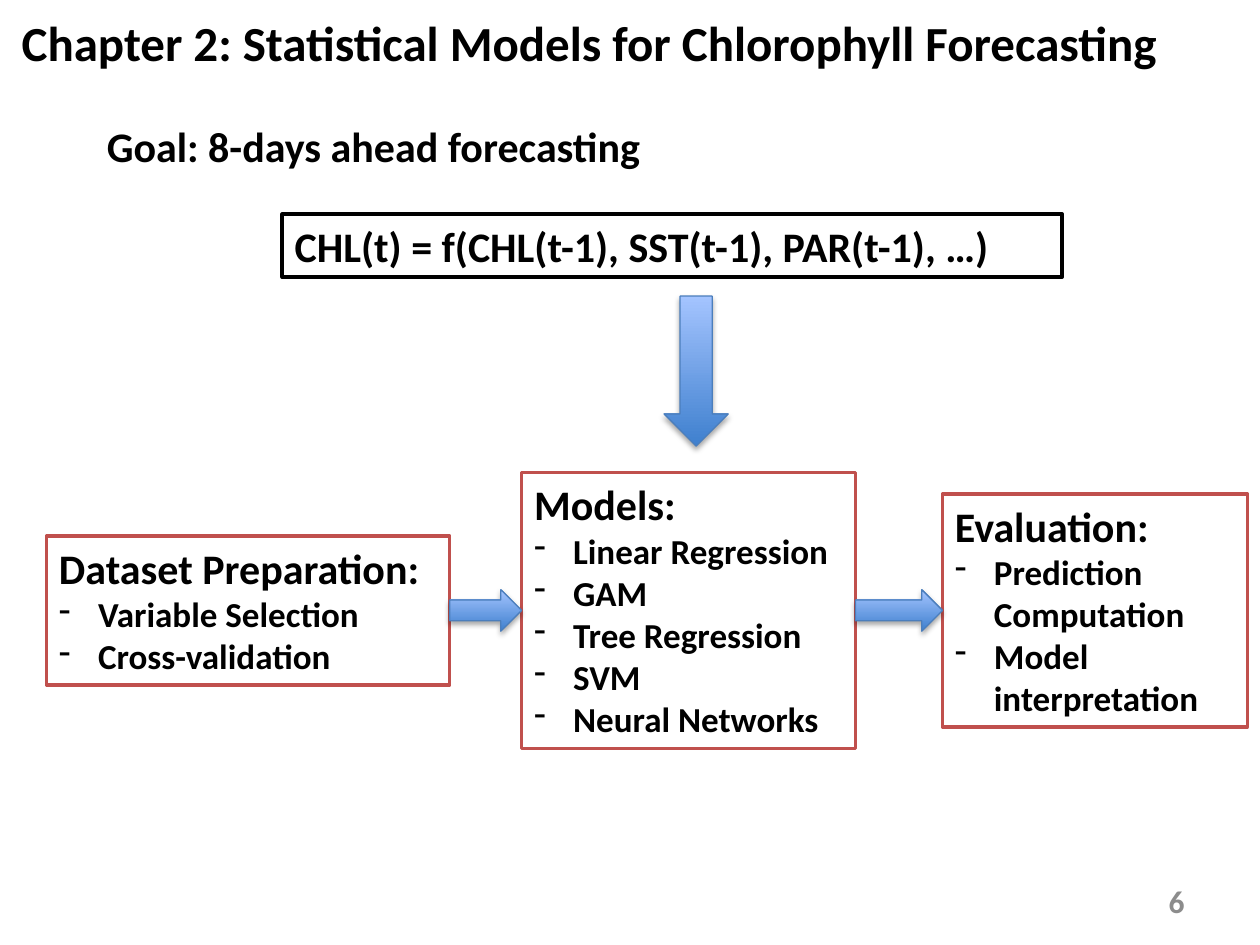
from dataclasses import dataclass

import pptx
import pptx.dml.color
import pptx.enum.shapes
import pptx.enum.text
import pptx.oxml
import pptx.util
from pptx.util import Inches

SHAPE = pptx.enum.shapes.MSO_SHAPE
ALIGN = pptx.enum.text.PP_ALIGN
ANCHOR = pptx.enum.text.MSO_ANCHOR
NS = 'xmlns:a="http://schemas.openxmlformats.org/drawingml/2006/main"'


@dataclass(frozen=True)
class Theme:
    font: str = "Calibri"
    ink: str = "000000"
    paper: str = "FFFFFF"
    accent: str = "C0504D"
    muted: str = "8C8C8C"
    arrow_dark: str = "3F80CE"
    arrow_light: str = "A4C4FF"
    arrow_line: str = "4B7EBC"
    title: int = 28
    heading: int = 24
    item: int = 20
    number: int = 18


THEME = Theme()

SHADOW = (
    f'<a:outerShdw {NS} blurRad="40000" dist="23000" dir="5400000" rotWithShape="0">'
    '<a:srgbClr val="000000"><a:alpha val="35000"/></a:srgbClr></a:outerShdw>'
)


def rgb(value):
    return pptx.dml.color.RGBColor.from_string(value)


def write(p, text, size, color=THEME.ink):
    r = p.add_run()
    r.text = text
    formats = {"name": THEME.font, "size": pptx.util.Pt(size), "bold": True}
    for name, value in formats.items():
        setattr(r.font, name, value)
    r.font.color.rgb = rgb(color)


def add_bullet(p):
    """Give the paragraph a dash with a hanging indent."""
    pPr = p._p.get_or_add_pPr()
    pPr.set("marL", str(Inches(0.31)))
    pPr.set("indent", str(-Inches(0.31)))
    for tag in ("<a:buFontTx {}/>", '<a:buChar {} char="-"/>'):
        pPr.append(pptx.oxml.parse_xml(tag.format(NS)))


def add_label(s, box, text, size, color=THEME.ink, align=ALIGN.LEFT, anchor=ANCHOR.TOP):
    tf = s.shapes.add_textbox(*map(Inches, box)).text_frame
    tf.word_wrap = True
    tf.vertical_anchor = anchor
    p = tf.paragraphs[0]
    p.alignment = align
    write(p, text, size, color)


def add_panel(s, box, heading, items=(), border=THEME.accent):
    """Outlined box with a heading and dashed items."""
    sp = s.shapes.add_shape(SHAPE.RECTANGLE, *map(Inches, box))
    sp.shadow.inherit = False
    sp.fill.solid()
    sp.fill.fore_color.rgb = rgb(THEME.paper)
    sp.line.color.rgb = rgb(border)
    sp.line.width = pptx.util.Pt(2)
    tf = sp.text_frame
    tf.word_wrap = True
    tf.vertical_anchor = ANCHOR.TOP
    p = tf.paragraphs[0]
    p.alignment = ALIGN.LEFT
    write(p, heading, THEME.heading)
    for item in items:
        p = tf.add_paragraph()
        p.alignment = ALIGN.LEFT
        add_bullet(p)
        write(p, item, THEME.item)


def add_arrow(s, kind, box):
    sp = s.shapes.add_shape(kind, *map(Inches, box))
    sp.fill.gradient()
    sp.fill.gradient_angle = 90
    for stop, color in zip(sp.fill.gradient_stops, (THEME.arrow_dark, THEME.arrow_light)):
        stop.color.rgb = rgb(color)
    sp.line.color.rgb = rgb(THEME.arrow_line)
    sp.line.width = pptx.util.Pt(0.75)
    sp.shadow.inherit = False
    effects = sp._element.spPr.find(pptx.oxml.ns.qn("a:effectLst"))
    effects.append(pptx.oxml.parse_xml(SHADOW))


def add_workflow(s, box, steps, arrow_height=0.33):
    """Panels centred on one axis, with an arrow filling each gap.

    A step is (offset from the left, width, height, heading, items).
    """
    left, top, _, height = box
    middle = top + height / 2
    for offset, w, h, heading, items in steps:
        add_panel(s, (left + offset, middle - h / 2, w, h), heading, items)
    for (offset, w, *_), (following, *_) in zip(steps, steps[1:]):
        start = offset + w
        arrow = (left + start, middle - arrow_height / 2, following - start, arrow_height)
        add_arrow(s, SHAPE.RIGHT_ARROW, arrow)


STEPS = [
    (0, 3.2, 1.18, "Dataset Preparation:", ["Variable Selection", "Cross-validation"]),
    (3.77, 2.65, 2.19, "Models:",
     ["Linear Regression", "GAM", "Tree Regression", "SVM", "Neural Networks"]),
    (7.11, 2.42, 1.85, "Evaluation:", ["Prediction Computation", "Model interpretation"]),
]


def main():
    prs = pptx.Presentation()
    prs.slide_width, prs.slide_height = Inches(10), Inches(7.5)
    s = prs.slides.add_slide(prs.slide_layouts[6])

    add_label(s, (0, 0.03, 9.35, 0.6),
              "Chapter 2: Statistical Models for Chlorophyll Forecasting",
              THEME.title, align=ALIGN.CENTER, anchor=ANCHOR.MIDDLE)
    add_label(s, (0.75, 0.91, 5.03, 0.5), "Goal: 8-days ahead forecasting", THEME.heading)
    add_panel(s, (2.24, 1.7, 6.19, 0.5), "CHL(t) = f(CHL(t-1), SST(t-1), PAR(t-1), …)",
              border=THEME.ink)
    add_workflow(s, (0.37, 3.75, 9.53, 2.19), STEPS)
    add_arrow(s, SHAPE.DOWN_ARROW, (5.27, 2.35, 0.51, 1.19))
    add_label(s, (7.17, 6.95, 2.33, 0.4), "6", THEME.number, THEME.muted,
              ALIGN.RIGHT, ANCHOR.MIDDLE)

    prs.save("out.pptx")


if __name__ == "__main__":
    main()
